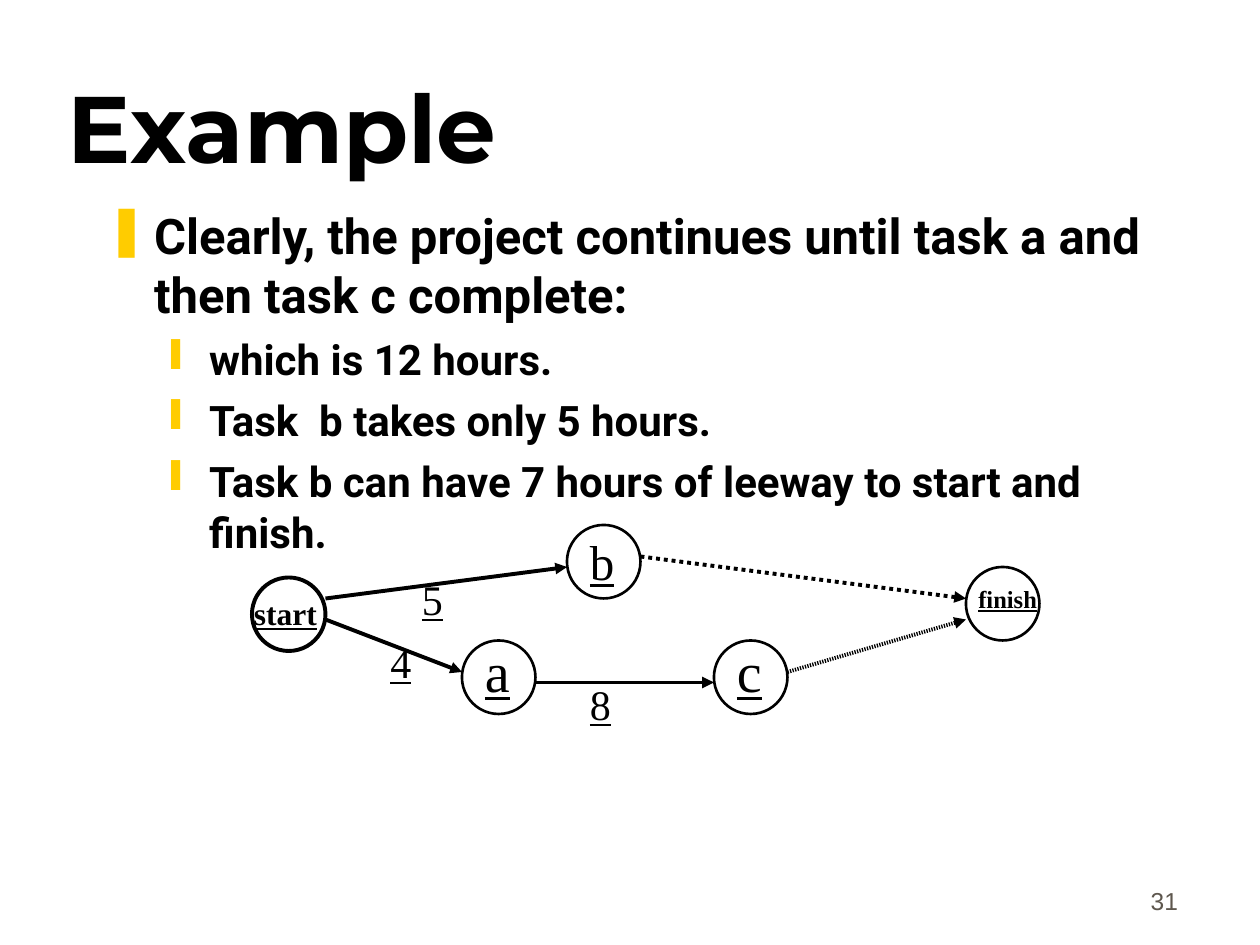
from lxml import etree
from pptx import Presentation
from pptx.dml.color import RGBColor
from pptx.enum.dml import MSO_LINE
from pptx.enum.shapes import MSO_CONNECTOR, MSO_SHAPE
from pptx.enum.text import MSO_ANCHOR, MSO_AUTO_SIZE, PP_ALIGN
from pptx.oxml.ns import qn
from pptx.util import Pt

PX = 9525  # EMU per px, 96 px to the inch
BLACK, YELLOW, GREY = "000000", "FFCC00", "5E574E"
LEFT, RIGHT = PP_ALIGN.LEFT, PP_ALIGN.RIGHT
BOTTOM, TOP = MSO_ANCHOR.BOTTOM, MSO_ANCHOR.TOP
FIXED, GROW = MSO_AUTO_SIZE.NONE, MSO_AUTO_SIZE.SHAPE_TO_FIT_TEXT
OVAL, STRAIGHT = MSO_SHAPE.OVAL, MSO_CONNECTOR.STRAIGHT
DOTTED = MSO_LINE.ROUND_DOT


def rgb(color):
    return RGBColor.from_string(color)


def write(frame, text, size, font="Times New Roman", color=BLACK, bold=False,
          underline=False, align=LEFT, anchor=TOP, fit=FIXED, add=False):
    frame.word_wrap = True
    frame.auto_size = fit
    frame.vertical_anchor = anchor
    paragraph = frame.add_paragraph() if add else frame.paragraphs[0]
    paragraph.alignment = align
    run = paragraph.add_run()
    run.text = text
    run.font.name = font
    run.font.size = Pt(size)
    run.font.bold = bold
    run.font.underline = underline
    run.font.color.rgb = rgb(color)
    return paragraph


prs = Presentation()
prs.slide_width, prs.slide_height = 960 * PX, 720 * PX
slide = prs.slides.add_slide(prs.slide_layouts[5])
shapes = slide.shapes

# Title
title = shapes.title
title.left, title.top, title.width, title.height = 42 * PX, 24 * PX, 816 * PX, 120 * PX
write(title.text_frame, "Example", 54, font="Montserrat", bold=True, anchor=BOTTOM)

# Slide number
number = shapes.add_textbox(707 * PX, 654 * PX, 200 * PX, 48 * PX)
write(number.text_frame, "31", 14, font="Arial", color=GREY, align=RIGHT, anchor=BOTTOM)

# Bulleted statement: level, text
statements = [
    (0, "Clearly, the project continues until task a and then task c complete:"),
    (1, "which is 12 hours."),
    (1, "Task  b takes only 5 hours."),
    (1, "Task b can have 7 hours of leeway to start and finish."),
]
# Per level: bullet, text size, space before, indent, hanging
levels = [("❚", 28, 7, 36, 36), ("❙", 24, 6, 78, 30)]
body = shapes.add_textbox(72 * PX, 152 * PX, 816 * PX, 432 * PX).text_frame
for index, (level, statement) in enumerate(statements):
    bullet, size, before, indent, hanging = levels[level]
    paragraph = write(body, statement, size, font="Roboto", bold=True, add=index > 0)
    paragraph.level = level
    paragraph.space_before = Pt(before)
    props = paragraph._p.get_or_add_pPr()
    props.set("marL", str(indent * PX))
    props.set("indent", str(-hanging * PX))
    bullet_color = etree.SubElement(props, qn("a:buClr"))
    etree.SubElement(bullet_color, qn("a:srgbClr"), val=YELLOW)
    etree.SubElement(props, qn("a:buChar"), char=bullet)

# Task nodes: left, top, outline width
NODE = 56
for left, top, outline in [(192, 440, 2.25), (352, 488, 1.5), (544, 488, 1.5),
                           (432, 400, 1.5), (736, 432, 1.5)]:
    node = shapes.add_shape(OVAL, left * PX, top * PX, NODE * PX, NODE * PX)
    node.shadow.inherit = False
    node.fill.background()
    node.line.color.rgb = rgb(BLACK)
    node.line.width = Pt(outline)

# Dependency arrows: start x, y, end x, y, dash style
for x1, y1, x2, y2, dash in [
    (248, 472, 352, 512, None),
    (408, 520, 544, 520, None),
    (600, 512, 736, 472, "fine"),
    (248, 456, 432, 432, None),
    (488, 424, 736, 456, DOTTED),
]:
    arrow = shapes.add_connector(STRAIGHT, x1 * PX, y1 * PX, x2 * PX, y2 * PX)
    arrow.line.color.rgb = rgb(BLACK)
    arrow.line.width = Pt(2.25)
    line = arrow.line._get_or_add_ln()
    if dash == "fine":
        pattern = etree.SubElement(line, qn("a:custDash"))
        etree.SubElement(pattern, qn("a:ds"), d="33000", sp="33000")
    elif dash:
        arrow.line.dash_style = dash
    etree.SubElement(line, qn("a:tailEnd"), type="triangle")
    etree.SubElement(arrow._element.spPr, qn("a:effectLst"))

# Node names and task hours: text, left, top, width, height, size, bold
for text, left, top, width, height, size, bold in [
    ("start", 184, 448, 96, 38, 18, True),
    ("b", 440, 400, 40, 55, 28, False),
    ("a", 360, 480, 48, 61, 32, False),
    ("c", 552, 480, 56, 61, 32, False),
    ("finish", 736, 440, 96, 33, 14, True),
    ("5", 312, 432, 64, 48, 24, False),
    ("4", 288, 480, 64, 48, 24, False),
    ("8", 440, 512, 64, 48, 24, False),
]:
    label = shapes.add_textbox(left * PX, top * PX, width * PX, height * PX)
    write(label.text_frame, text, size, bold=bold, underline=True, fit=GROW)

prs.save("out.pptx")
